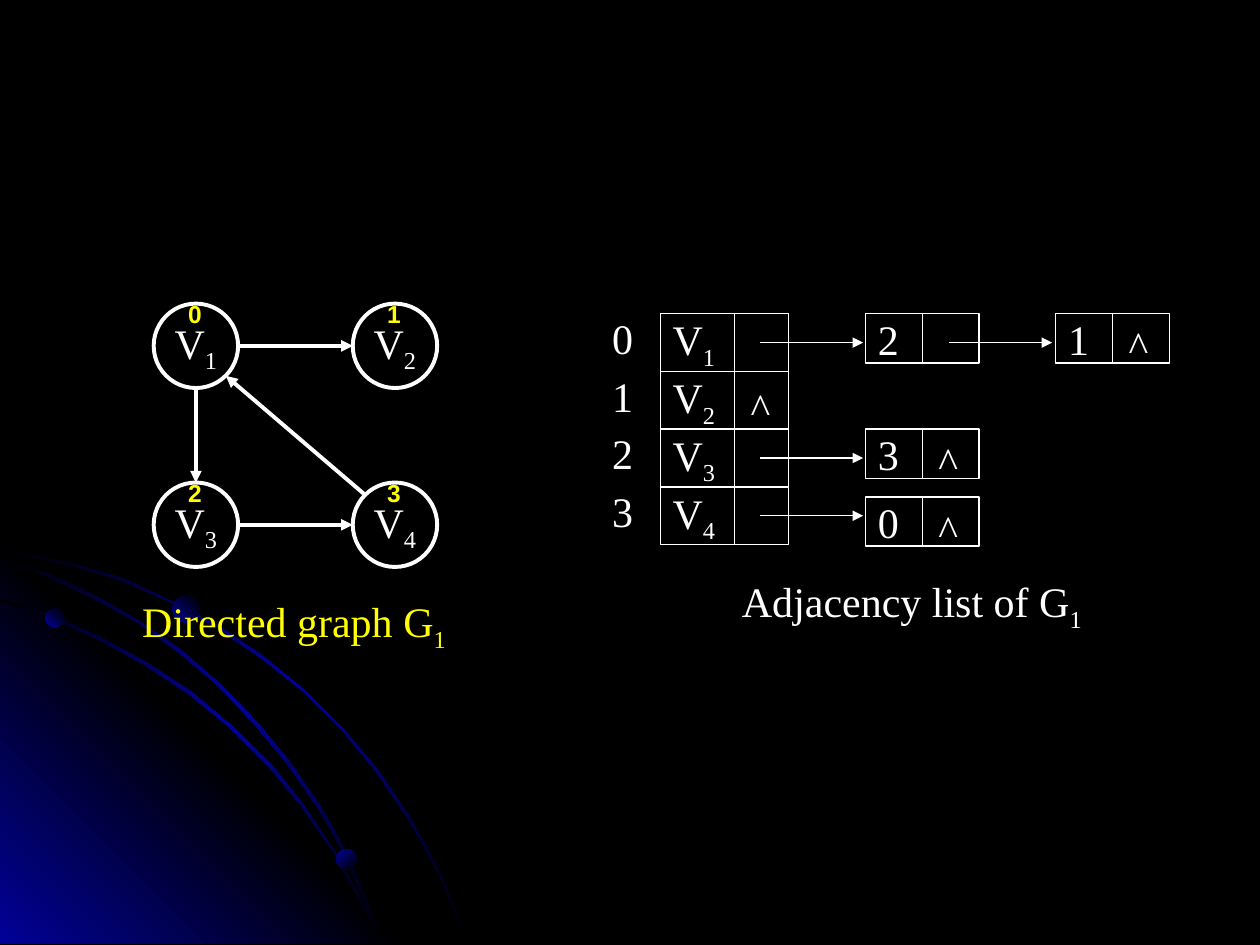
from lxml.etree import SubElement
from pptx import Presentation
from pptx.dml.color import RGBColor
from pptx.enum.shapes import MSO_CONNECTOR, MSO_SHAPE
from pptx.enum.text import MSO_ANCHOR, MSO_AUTO_SIZE, PP_ALIGN
from pptx.oxml import parse_xml
from pptx.oxml.ns import nsdecls, qn
from pptx.util import Inches, Pt

# ---- Content ----
COLORS = {"black": "000000", "white": "FFFFFF", "yellow": "FFFF00", "blue": "010199"}
SERIF, SANS = "Times New Roman", "Arial"

VERTICES = ["1", "2", "3", "4"]
EDGES = [(0, 1), (0, 2), (2, 3), (3, 0)]
ADJACENCY = [["2", "1"], [], ["3"], ["0"]]
CAPTIONS = [("Adjacency list of G", "1", "white", (5.79, 4.52, 3.03, 0.5)),
            ("Directed graph G", "1", "yellow", (1.03, 4.68, 2.62, 0.5))]

# Background sweeps, outlined in inches
CORNER = [(3.22, 7.49), (0, 7.49), (0, 4.27)]
SWEEPS = [
    [(0.57, 4.47), (0.28, 4.41), (0, 4.35), (0, 4.38), (0.28, 4.43), (0.56, 4.49),
     (0.97, 4.61), (1.35, 4.78), (1.73, 4.99), (2.08, 5.23), (2.41, 5.49), (2.71, 5.79),
     (2.98, 6.12), (3.23, 6.49), (3.37, 6.73), (3.5, 6.98), (3.6, 7.23), (3.7, 7.49),
     (3.72, 7.49), (3.62, 7.23), (3.52, 6.98), (3.39, 6.73), (3.25, 6.48), (3, 6.11),
     (2.72, 5.78), (2.42, 5.48), (2.09, 5.21), (1.74, 4.97), (1.36, 4.77), (0.98, 4.59)],
    [(2.85, 7.14), (2.94, 7.32), (3.01, 7.49), (3.03, 7.49), (2.96, 7.3), (2.86, 7.12),
     (2.66, 6.76), (2.42, 6.4), (2.15, 6.06), (1.84, 5.76), (1.52, 5.49), (1.17, 5.26),
     (0.79, 5.05), (0.41, 4.88), (0, 4.75), (0, 4.77), (0.39, 4.9), (0.77, 5.07),
     (1.15, 5.28), (1.5, 5.51), (1.83, 5.78), (2.13, 6.08), (2.4, 6.41), (2.65, 6.77)],
    [(0, 4.42), (0, 4.44), (0.36, 4.57), (0.74, 4.75), (1.09, 4.94), (1.42, 5.18),
     (1.73, 5.44), (2.02, 5.75), (2.27, 6.05), (2.52, 6.41), (2.67, 6.67), (2.8, 6.94),
     (2.92, 7.22), (3.01, 7.49), (3.03, 7.49), (2.94, 7.2), (2.82, 6.93), (2.69, 6.65),
     (2.54, 6.39), (2.29, 6.03), (2.04, 5.73), (1.75, 5.43), (1.44, 5.16), (1.11, 4.93),
     (0.76, 4.73), (0.39, 4.55)],
]
BEADS = [(0.36, 4.83, 0.15, 315), (2.67, 6.74, 0.16, 45), (1.37, 4.73, 0.21, 315)]

# ---- Grids (inches) ----
CIRCLE, GRAPH_X, GRAPH_Y = 0.67, (1.22, 2.8), (2.41, 3.83)
TABLE_X, TABLE_Y, ROW_W, ROW_H, SPLIT = 5.24, 2.49, 1.02, 0.458, 0.59
NODE_X, NODE_W, NODE_H, NODE_STEP = 6.87, 0.9, 0.39, 1.51
LAST_ROW_DROP = 0.08
ARROW_X, ARROW_W = 6.03, 0.82


def rgb(name):
    return RGBColor.from_string(COLORS[name])


def gradient(sp, stops, angle):
    """Fill a borderless shape with evenly spaced colour stops."""
    sp.shadow.inherit = False
    sp.line.fill.background()
    sp.fill.background()
    step = 100000 // (len(stops) - 1)
    gs = "".join(f'<a:gs pos="{i * step}"><a:srgbClr val="{COLORS[c]}"/></a:gs>'
                 for i, c in enumerate(stops))
    old = sp._element.spPr.find(qn("a:noFill"))
    old.getparent().replace(old, parse_xml(
        f'<a:gradFill {nsdecls("a")} rotWithShape="1"><a:gsLst>{gs}</a:gsLst>'
        f'<a:lin ang="{angle * 60000}" scaled="1"/></a:gradFill>'))


def polygon(s, points, stops, angle):
    pts = [(Inches(x), Inches(y)) for x, y in points]
    fb = s.shapes.build_freeform(*pts[0], scale=1.0)
    fb.add_line_segments(pts[1:], close=True)
    gradient(fb.convert_to_shape(), stops, angle)


def write(sp, text, sub="", color="white", size=24, font=SERIF, bold=False):
    tf = sp.text_frame
    tf.word_wrap = False
    p = tf.paragraphs[0]
    p.add_run().text = text
    if sub:
        r = p.add_run()
        r.text = sub
        r._r.get_or_add_rPr().set("baseline", "-25000")
    p.font.size, p.font.name, p.font.bold = Pt(size), font, bold
    p.font.color.rgb = rgb(color)
    return p


def label(s, box, text, sub="", **style):
    sp = s.shapes.add_textbox(*map(Inches, box))
    write(sp, text, sub, **style)
    sp.text_frame.auto_size = MSO_AUTO_SIZE.SHAPE_TO_FIT_TEXT


def outline(s, kind, box, width, text, sub="", align=PP_ALIGN.LEFT):
    sp = s.shapes.add_shape(kind, *map(Inches, box))
    sp.shadow.inherit = False
    sp.fill.background()
    sp.line.color.rgb, sp.line.width = rgb("white"), Pt(width)
    sp.text_frame.vertical_anchor = MSO_ANCHOR.MIDDLE
    write(sp, text, sub).alignment = align


def line(s, start, end, width=0.75, arrow=False):
    cx = s.shapes.add_connector(MSO_CONNECTOR.STRAIGHT, *map(Inches, (*start, *end)))
    cx.line.color.rgb, cx.line.width = rgb("white"), Pt(width)
    if arrow:
        SubElement(cx.line._get_or_add_ln(), qn("a:tailEnd"), type="triangle")
    SubElement(cx._element.spPr, qn("a:effectLst"))


def cell(s, x, y, w, h, split, text, sub="", end=False):
    """A box divided into a value and a pointer, with ^ for an empty pointer."""
    outline(s, MSO_SHAPE.RECTANGLE, (x, y, w, h), 0.75, text, sub)
    line(s, (x + split, y), (x + split, y + h))
    if end:
        top = y + max(0, (h - NODE_H) / 2)
        label(s, (x + split + 0.03, top, 0.36, 0.39), "^")


def draw_background(s):
    s.background.fill.solid()
    s.background.fill.fore_color.rgb = rgb("black")
    polygon(s, SWEEPS[0], ("black", "blue", "black"), 45)
    polygon(s, CORNER, ("blue", "black", "blue"), 315)
    for sweep in SWEEPS[1:]:
        polygon(s, sweep, ("black", "blue", "black"), 45)
    for x, y, d, angle in BEADS:
        bead = s.shapes.add_shape(MSO_SHAPE.OVAL, *map(Inches, (x, y, d, d)))
        gradient(bead, ("blue", "black"), angle)


def draw_adjacency_list(s):
    for i, targets in enumerate(ADJACENCY):
        y = TABLE_Y + i * ROW_H
        label(s, (4.76, y - 0.06, 0.37, 0.5), str(i))
        cell(s, TABLE_X, y, ROW_W, ROW_H, SPLIT, "V", VERTICES[i], end=not targets)
        node_y = y + (LAST_ROW_DROP if i == len(ADJACENCY) - 1 else 0)
        for j, target in enumerate(targets):
            cell(s, NODE_X + j * NODE_STEP, node_y, NODE_W, NODE_H, NODE_W / 2,
                 target, end=j == len(targets) - 1)
            x, mid = ARROW_X + j * 1.5, y + ROW_H / 2
            line(s, (x, mid), (x + ARROW_W, mid), arrow=True)


def draw_graph(s):
    radius = CIRCLE / 2
    centers = [(x + radius, y + radius) for y in GRAPH_Y for x in GRAPH_X]
    for name, (cx, cy) in zip(VERTICES, centers):
        outline(s, MSO_SHAPE.OVAL, (cx - radius, cy - radius, CIRCLE, CIRCLE), 2.25,
                "V", name, PP_ALIGN.CENTER)
    for a, b in EDGES:
        (ax, ay), (bx, by) = centers[a], centers[b]
        # Leave and enter each circle at its side, or at 45 degrees on a diagonal
        dx, dy = (bx > ax) - (bx < ax), (by > ay) - (by < ay)
        reach = radius * (0.71 if dx and dy else 1)
        line(s, (ax + dx * reach, ay + dy * reach), (bx - dx * reach, by - dy * reach),
             2.25, arrow=True)
    for i, (cx, cy) in enumerate(centers):
        label(s, (cx - 0.16, cy - 0.42, 0.31, 0.34), str(i),
              color="yellow", size=14, font=SANS, bold=True)


def main():
    prs = Presentation()
    prs.slide_width, prs.slide_height = Inches(10), Inches(7.5)
    s = prs.slides.add_slide(prs.slide_layouts[6])
    draw_background(s)
    draw_adjacency_list(s)
    draw_graph(s)
    for text, sub, color, box in CAPTIONS:
        label(s, box, text, sub, color=color)
    prs.save("out.pptx")


if __name__ == "__main__":
    main()
